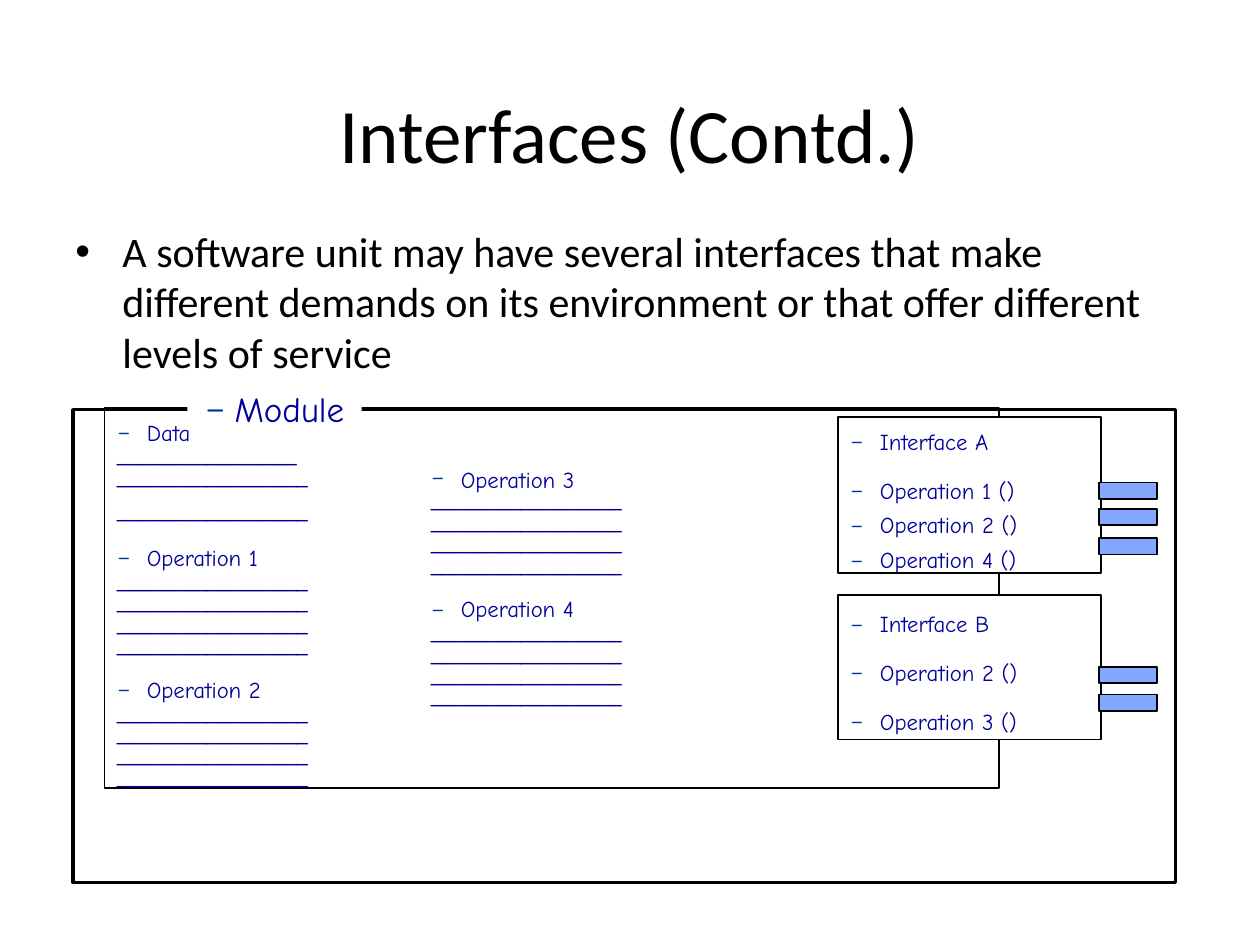
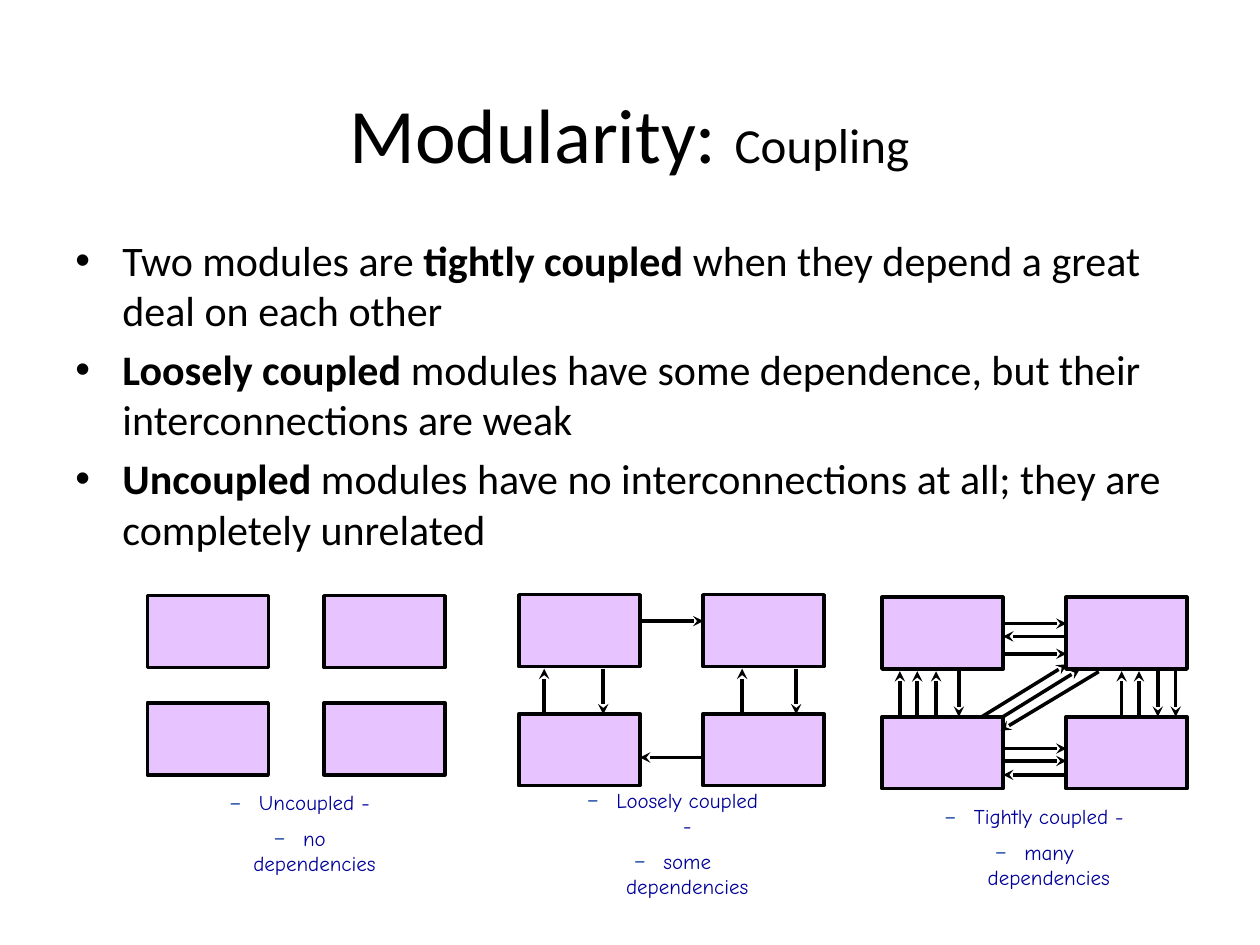
from lxml import etree
from pptx import Presentation
from pptx.dml.color import RGBColor
from pptx.enum.shapes import MSO_CONNECTOR, MSO_SHAPE
from pptx.enum.text import MSO_ANCHOR, PP_ALIGN
from pptx.oxml.ns import qn
from pptx.util import Cm, Pt

RECT = MSO_SHAPE.RECTANGLE
STRAIGHT = MSO_CONNECTOR.STRAIGHT
MIDDLE, TOP = MSO_ANCHOR.MIDDLE, MSO_ANCHOR.TOP
LEFT, CENTER = PP_ALIGN.LEFT, PP_ALIGN.CENTER

BODY_FONT, NOTE_FONT = "Calibri", "Comic Neue"
BLACK, WHITE = "000000", "FFFFFF"
NAVY, DASH_BLUE = "000099", "003399"
TAB_BLUE, LILAC = "81A7FF", "E7C4FF"

TITLE_BOX = (1.27, 1.09, 22.83, 3.15)
DASH_INDENT = 0.6
BLANK = "_" * 17


def color(hex_code):
    return RGBColor.from_string(hex_code)


def box_cm(box):
    return [Cm(v) for v in box]


# Shared text helpers
def style_run(r, size, font, hex_code, bold=False):
    r.font.size = Pt(size)
    r.font.name = font
    r.font.bold = bold
    r.font.color.rgb = color(hex_code)


def add_bullet(p, char, indent, hex_code, font):
    pPr = p._p.get_or_add_pPr()
    pPr.set("marL", str(Cm(indent)))
    pPr.set("indent", str(-Cm(indent)))
    clr = etree.SubElement(pPr, qn("a:buClr"))
    etree.SubElement(clr, qn("a:srgbClr")).set("val", hex_code)
    etree.SubElement(pPr, qn("a:buFont")).set("typeface", font)
    etree.SubElement(pPr, qn("a:buChar")).set("char", char)


def paragraphs(tf, items):
    """Yield a paragraph for each item, reusing the first one."""
    for i, item in enumerate(items):
        yield i, tf.paragraphs[0] if i == 0 else tf.add_paragraph(), item


def set_frame(tf, inset, anchor):
    tf.word_wrap = True
    tf.vertical_anchor = anchor
    tf.margin_left = tf.margin_right = Cm(inset)
    tf.margin_top = tf.margin_bottom = Cm(inset)


def write_notes(sp, lines, size, inset=0, align=LEFT):
    """Lines are (text, line spacing, space before); names get a dash."""
    tf = sp.text_frame
    set_frame(tf, inset, MIDDLE)
    for i, p, (text, spacing, before) in paragraphs(tf, lines):
        p.text = text
        p.alignment = align
        if not text.startswith("_"):
            add_bullet(p, "–", DASH_INDENT, DASH_BLUE, NOTE_FONT)
        p.line_spacing = spacing
        p.space_before = Pt(before if i else 0)
        style_run(p.runs[0], size, NOTE_FONT, NAVY)


# Shared shapes
def add_rect(slide, box, fill=None, line=None):
    sp = slide.shapes.add_shape(RECT, *box_cm(box))
    sp.shadow.inherit = False
    if fill:
        sp.fill.solid()
        sp.fill.fore_color.rgb = color(fill)
    else:
        sp.fill.background()
    if line:
        sp.line.color.rgb = color(BLACK)
        sp.line.width = Pt(line)
    else:
        sp.line.fill.background()
    return sp


def add_arrow(slide, x1, y1, x2, y2):
    cn = slide.shapes.add_connector(STRAIGHT, Cm(x1), Cm(y1), Cm(x2), Cm(y2))
    cn.line.color.rgb = color(BLACK)
    cn.line.width = Pt(2)
    ln = cn.line._get_or_add_ln()
    etree.SubElement(ln, qn("a:tailEnd")).set("type", "stealth")
    etree.SubElement(cn._element.spPr, qn("a:effectLst"))


def add_titled_slide(prs, title_runs):
    slide = prs.slides.add_slide(prs.slide_layouts[5])
    title = slide.shapes.title
    title.left, title.top, title.width, title.height = box_cm(TITLE_BOX)
    tf = title.text_frame
    tf.vertical_anchor = MIDDLE
    p = tf.paragraphs[0]
    p.alignment = CENTER
    for text, size in title_runs:
        r = p.add_run()
        r.text = text
        style_run(r, size, BODY_FONT, BLACK)
    return slide


def add_body(slide, box, items):
    """Each item is a list of (text, bold) runs."""
    tf = slide.shapes.add_textbox(*box_cm(box)).text_frame
    tf.word_wrap = True
    tf.vertical_anchor = TOP
    for i, p, runs in paragraphs(tf, items):
        add_bullet(p, "•", 0.95, BLACK, "Arial")
        p.space_before = Pt(4.8 if i else 0)
        for text, bold in runs:
            r = p.add_run()
            r.text = text
            style_run(r, 24, BODY_FONT, BLACK, bold)


# Module diagram
def operation(name, spacing):
    """An operation name above its four blank lines."""
    return [(name, spacing, 6)] + [(BLANK, 0.4, 6)] * 4


def add_interface(slide, box, lines, tab_offsets):
    sp = add_rect(slide, box, WHITE, 1)
    write_notes(sp, [(text, spacing, 6) for text, spacing in lines], 13, 0.25)
    for dy in tab_offsets:
        add_rect(slide, (box[0] + 5.26, box[1] + dy, 1.17, 0.33), TAB_BLUE, 1)


def add_module(slide, x, y):
    add_rect(slide, (x, y, 22.23, 9.53), line=2)

    # Contents: data and the first two operations
    contents = add_rect(slide, (x + 0.64, y - 0.03, 18.03, 7.65), line=1)
    data = [("Data", 1.4, 6), (BLANK[:-1], 0.4, 6), (BLANK, 0.4, 6),
            (BLANK, 0.4, 13)]
    write_notes(contents, data + operation("Operation 1", 1.4)
                + operation("Operation 2", 1.3), 13, 0.25)

    # Name over the top edge
    name = add_rect(slide, (x + 2.31, y - 0.46, 3.51, 0.86), WHITE)
    write_notes(name, [("Module", 1.0, 6)], 20, align=CENTER)

    # Interfaces with their connection tabs
    add_interface(slide, (x + 15.42, y + 0.15, 5.31, 3.15),
                  [("Interface A", 1.4), ("Operation 1 ()", 1.4),
                   ("Operation 2 ()", 0.9), ("Operation 4 ()", 0.9)],
                  (1.32, 1.85, 2.44))
    add_interface(slide, (x + 15.42, y + 3.73, 5.31, 2.92),
                  [("Interface B", 1.4), ("Operation 2 ()", 1.4),
                   ("Operation 3 ()", 1.4)],
                  (1.45, 2.01))

    # Second column of operations
    column = slide.shapes.add_textbox(*box_cm((x + 7.22, y + 1.39, 8.76, 4.65)))
    write_notes(column, operation("Operation 3", 0.4)
                + operation("Operation 4", 1.3), 13)


# Coupling diagrams
def add_coupling(slide, x, y, pitch, label_box, label,
                 right=(), left=(), up=(), down=(), slanted=()):
    """Four modules; arrows are listed by direction and offset."""
    for dy in (0, pitch[1]):
        for dx in (0, pitch[0]):
            add_rect(slide, (x + dx, y + dy, 2.44, 1.45), LILAC, 2)

    near, far = 2.44, 3.72
    high, low = 1.49, 2.41
    arrows = [(near, dy, far, dy) for dy in right]
    arrows += [(far, dy, near, dy) for dy in left]
    arrows += [(dx, low, dx, high) for dx in up]
    arrows += [(dx, high, dx, low) for dx in down]
    for x1, y1, x2, y2 in arrows + list(slanted):
        add_arrow(slide, x + x1, y + y1, x + x2, y + y2)

    dx, dy, width = label_box
    sp = slide.shapes.add_textbox(*box_cm((x + dx, y + dy, width, 1.02)))
    write_notes(sp, [(text, 1.0, 6) for text in label], 12, align=CENTER)


# Slides
def build_interfaces(prs):
    slide = add_titled_slide(prs, [("Interfaces (Contd.)", 44)])
    add_body(slide, (1.27, 4.42, 22.81, 12.95), [
        [("A software unit may have several interfaces that make different "
          "demands on its environment or that offer different levels of "
          "service", False)]])
    add_module(slide, 1.47, 8.26)


def build_coupling(prs):
    slide = add_titled_slide(prs, [("Modularity: ", 44), ("Coupling", 28)])
    add_body(slide, (1.27, 4.6, 22.83, 12.98), [
        [("Two modules are ", False), ("tightly coupled ", True),
         ("when they depend a great deal on each other", False)],
        [("Loosely coupled ", True),
         ("modules have some dependence, but their interconnections are weak",
          False)],
        [("Uncoupled", True),
         (" modules have no interconnections at all; they are completely "
          "unrelated", False)]])
    add_coupling(slide, 2.97, 12.01, (3.56, 2.16), (1.47, 4.27, 3.2),
                 ("Uncoupled -", "no dependencies"))
    add_coupling(slide, 10.46, 11.99, (3.71, 2.4), (1.22, 4.5, 3.75),
                 ("Loosely coupled -", "some dependencies"),
                 right=(0.53,), left=(3.28,), up=(0.51, 4.5), down=(1.7, 5.59))
    add_coupling(slide, 17.78, 12.04, (3.71, 2.41), (1.19, 4.52, 3.75),
                 ("Tightly coupled -", "many dependencies"),
                 right=(0.53, 1.14, 3.05, 3.3), left=(0.79, 3.58),
                 up=(0.36, 0.71, 1.09, 4.83, 5.18), down=(1.55, 5.56, 5.92),
                 slanted=((2.01, 2.41, 3.73, 1.35), (2.39, 2.44, 3.99, 1.45),
                          (4.37, 1.5, 2.39, 2.69)))


def main():
    prs = Presentation()
    prs.slide_width, prs.slide_height = Cm(25.4), Cm(19.05)
    build_interfaces(prs)
    build_coupling(prs)
    prs.save("out.pptx")


if __name__ == "__main__":
    main()
